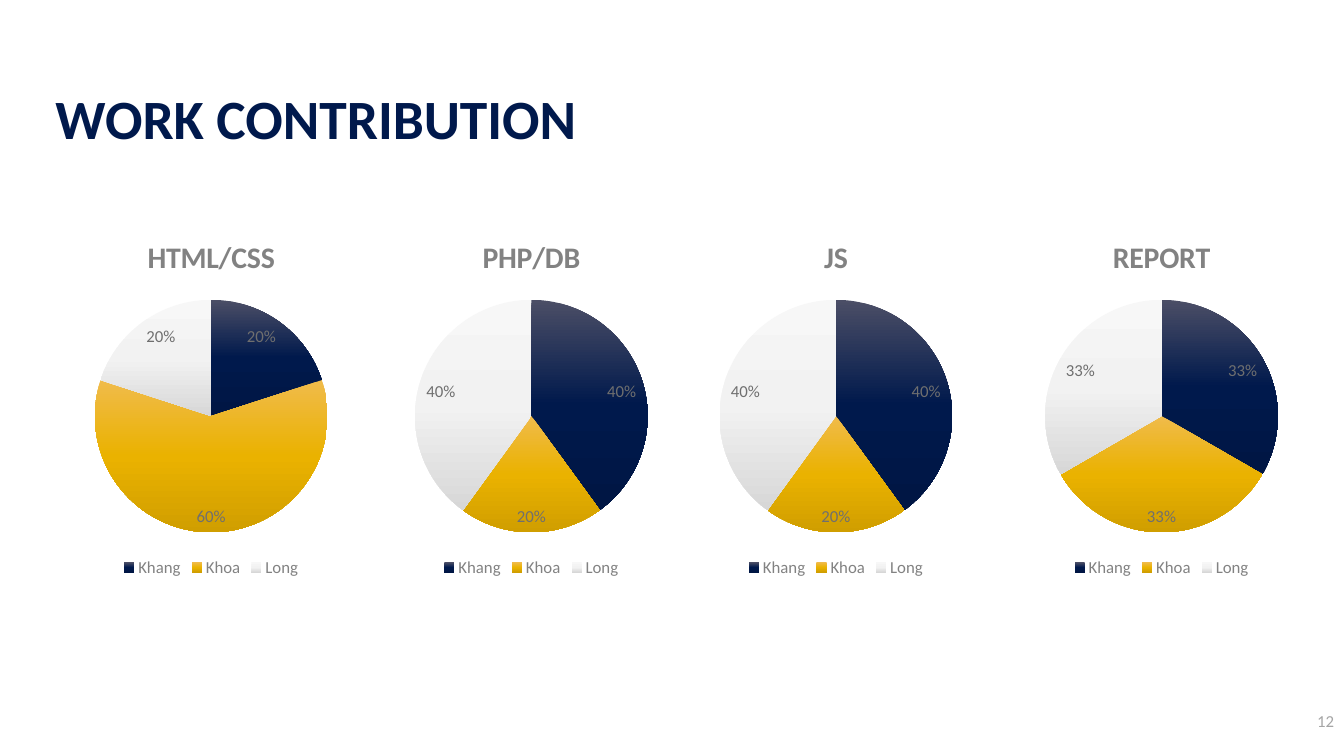
from copy import deepcopy

from pptx import Presentation
from pptx.chart.data import CategoryChartData
from pptx.dml.color import RGBColor
from pptx.enum.chart import XL_CHART_TYPE, XL_LABEL_POSITION, XL_LEGEND_POSITION
from pptx.enum.text import MSO_ANCHOR, MSO_AUTO_SIZE, PP_ALIGN
from pptx.util import Inches, Pt

SLIDE_W, SLIDE_H = Inches(13.33), Inches(7.5)
MEMBERS = ("Khang", "Khoa", "Long")
GRADIENTS = (
    ("4B4E66", "00194C", "001644"),
    ("F0BB4B", "EAB200", "D09E00"),
    ("F7F7F7", "F2F2F2", "D7D7D7"),
)
# task, left and width in percent of the slide, share of each member
TASKS = (
    ("HTML/CSS", 1.05, 29.33, (20, 60, 20)),
    ("PHP/DB", 20.78, 37.51, (40, 20, 40)),
    ("JS", 43.44, 37.51, (40, 20, 40)),
    ("REPORT", 67.67, 37.51, (33, 33, 33)),
)


def box(left, top, width, height):
    """Turn percentages of the slide's size into lengths."""
    return [int(share * side / 100) for share, side in
            zip((left, top, width, height), (SLIDE_W, SLIDE_H) * 2)]


def style_font(font, size, color, bold=False):
    font.name = "Calibri"
    font.size = Pt(size)
    font.bold = bold
    font.color.rgb = RGBColor.from_string(color)


def add_title(slide, text):
    sp = slide.shapes.title
    sp.left, sp.top, sp.width, sp.height = box(3.38, 9.47, 42.69, 10.53)
    tf = sp.text_frame
    tf.text = text
    tf.word_wrap = True
    tf.auto_size = MSO_AUTO_SIZE.NONE
    tf.vertical_anchor = MSO_ANCHOR.BOTTOM
    tf.margin_bottom = 0
    p = tf.paragraphs[0]
    p.alignment = PP_ALIGN.LEFT
    p.line_spacing = 0.9
    style_font(p.runs[0].font, 39.6, "00194C", True)


def add_page_number(slide, number):
    tf = slide.shapes.add_textbox(*box(93.92, 92.67, 6.08, 5.33)).text_frame
    tf.text = number
    tf.word_wrap = True
    tf.vertical_anchor = MSO_ANCHOR.MIDDLE
    p = tf.paragraphs[0]
    p.alignment = PP_ALIGN.RIGHT
    style_font(p.runs[0].font, 12, "A5A5A5")


def shade_slices(plot):
    """Give each slice its three-stop gradient, running downwards."""
    points = plot.series[0].points
    fills = [points[i].format.fill for i in range(len(MEMBERS))]
    for fill in fills:
        fill.gradient()
        fill.gradient_angle = 270
    for stops in plot.series[0]._element.xpath(".//a:gsLst"):
        stops.insert(1, deepcopy(stops[0]))
    for fill, colors in zip(fills, GRADIENTS):
        for stop, color, position in zip(fill.gradient_stops, colors, (0, 0.5, 1)):
            stop.color.rgb = RGBColor.from_string(color)
            stop.position = position


def add_pie(slide, task, left, width, shares):
    data = CategoryChartData()
    data.categories = MEMBERS
    data.add_series(task, shares)
    chart = slide.shapes.add_chart(
        XL_CHART_TYPE.PIE, *box(left, 28.93, width, 48), data).chart
    style_font(chart.font, 10, "3F3F3F")

    chart.chart_title.include_in_layout = False
    tf = chart.chart_title.text_frame
    tf.text = task
    style_font(tf.paragraphs[0].runs[0].font, 21.3, "828282", True)

    chart.has_legend = True
    chart.legend.position = XL_LEGEND_POSITION.BOTTOM
    chart.legend.include_in_layout = False
    style_font(chart.legend.font, 12, "828282")

    plot = chart.plots[0]
    plot.vary_by_categories = True
    shade_slices(plot)
    labels = plot.series[0].data_labels
    labels.show_percentage = True
    labels.show_value = False
    labels.number_format = "0%"
    labels.number_format_is_linked = False
    labels.position = XL_LABEL_POSITION.INSIDE_END
    style_font(labels.font, 12, "6F6F6F")


def main():
    prs = Presentation()
    prs.slide_width, prs.slide_height = SLIDE_W, SLIDE_H
    slide = prs.slides.add_slide(prs.slide_layouts[5])
    add_title(slide, "WORK CONTRIBUTION")
    add_page_number(slide, "12")
    for task in TASKS:
        add_pie(slide, *task)
    prs.save("out.pptx")


if __name__ == "__main__":
    main()
